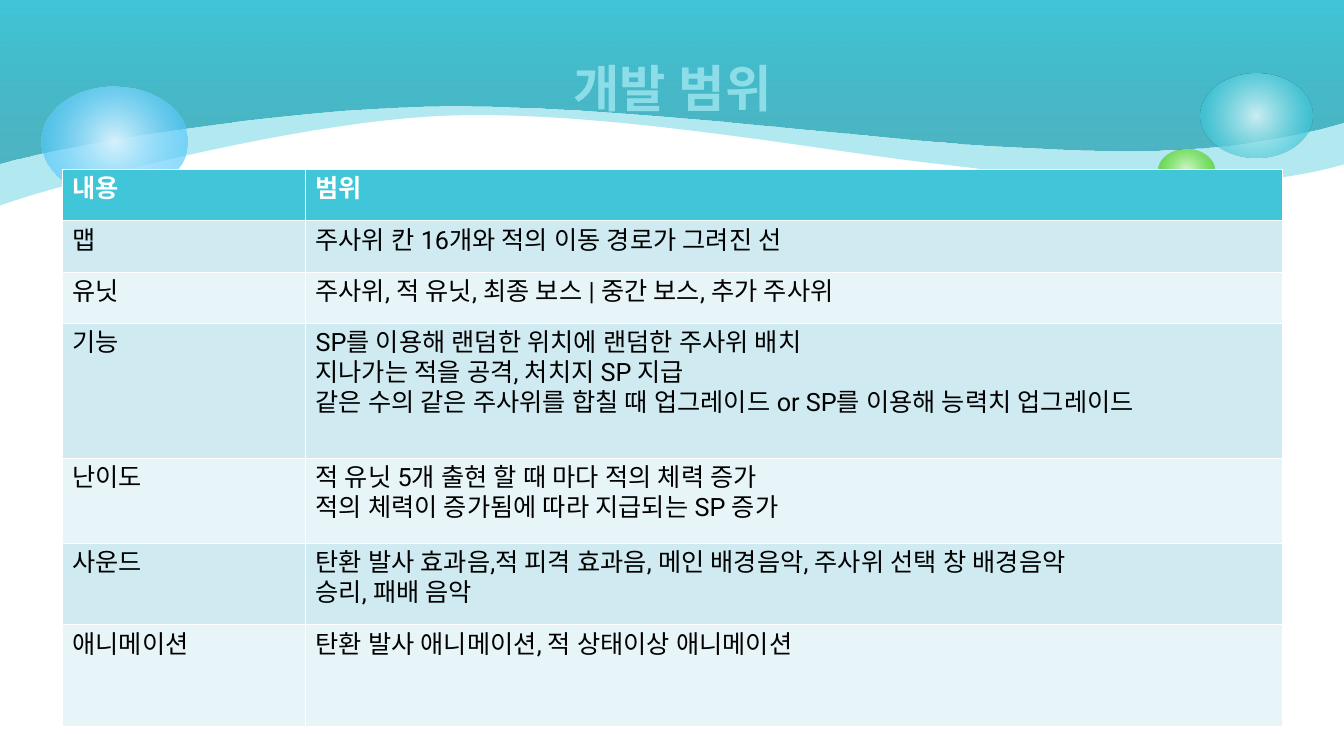
import pptx
import pptx.util
import pptx.dml.color
import pptx.enum.lang
import pptx.enum.shapes
import pptx.enum.text
import pptx.oxml
import pptx.oxml.ns

Inches = pptx.util.Inches
Pt = pptx.util.Pt
qn = pptx.oxml.ns.qn

FONT = "Roboto"
NS = pptx.oxml.ns.nsdecls("a")
COLORS = {
    "white": "FFFFFF", "black": "000000", "teal": "40C6D8", "deep": "249EAE",
    "title": "8CDDE8", "band": "CFEAF0", "pale": "E8F5F8",
    "ice": "D9F4F7", "mint": "DAFACD", "green": "4CD416",
    "mist": "D6F2FE", "blue": "33BDFB",
}
LINEAR_UP = '<a:lin ang="16200000" scaled="0"/>'
RADIAL = ('<a:path path="circle"><a:fillToRect l="50000" t="50000" '
          'r="50000" b="50000"/></a:path>')

BACK_WAVE = [
    (0, 0.54), (0, 1.5), (0, 2.04),
    (0.44, 1.87), (2.85, 1.22), (4.37, 1.15),
    (5.9, 1.08), (8.08, 1.48), (9.16, 1.61),
    (10.24, 1.73), (12.03, 2.01), (13.33, 1.63),
]
FRONT_WAVE = [
    (0, 0.54), (0, 1.08), (0, 1.62),
    (0.6, 1.44), (2.71, 1.08), (4.35, 1.05),
    (5.98, 1.02), (8.78, 1.39), (9.83, 1.44),
    (10.88, 1.49), (12.03, 1.59), (13.33, 1.21),
]
BUBBLES = [
    ((11.91, 0.73, 1.11, 0.83), [(0, "ice", 90), (76, "teal", 70)]),
    ((11.49, 1.48, 0.56, 0.42), [(0, "mint", 90), (76, "green", 70)]),
    ((0.41, 0.86, 1.45, 1.09), [(0, "mist", 100), (100, "blue", 54)]),
]
COLUMN_WIDTHS = [2.41, 9.69]
ROWS = [
    (0.51, "내용", "범위"),
    (0.51, "맵", "주사위 칸 16개와 적의 이동 경로가 그려진 선"),
    (0.51, "유닛", "주사위, 적 유닛, 최종 보스 | 중간 보스, 추가 주사위"),
    (1.34, "기능", "SP를 이용해 랜덤한 위치에 랜덤한 주사위 배치\n"
                 "지나가는 적을 공격, 처치지 SP 지급\n"
                 "같은 수의 같은 주사위를 합칠 때 업그레이드 or SP를 이용해 능력치 업그레이드"),
    (0.84, "난이도", "적 유닛 5개 출현 할 때 마다 적의 체력 증가\n"
                  "적의 체력이 증가됨에 따라 지급되는 SP 증가"),
    (0.81, "사운드", "탄환 발사 효과음,적 피격 효과음, 메인 배경음악, 주사위 선택 창 배경음악\n"
                  "승리, 패배 음악"),
    (1.01, "애니메이션", "탄환 발사 애니메이션, 적 상태이상 애니메이션"),
]


def rgb(name):
    return pptx.dml.color.RGBColor.from_string(COLORS[name])


def clear_style(sp):
    sp.shadow.inherit = False
    sp.line.fill.background()
    sp.fill.background()


def replace_fill(sp, fill_xml):
    clear_style(sp)
    spPr = sp._element.spPr
    spPr.replace(spPr.find(qn("a:noFill")), pptx.oxml.parse_xml(fill_xml))


def color_xml(name, alpha):
    return (f'<a:srgbClr val="{COLORS[name]}">'
            f'<a:alpha val="{alpha * 1000}"/></a:srgbClr>')


def solid_fill(sp, name, alpha):
    replace_fill(sp, f'<a:solidFill {NS}>{color_xml(name, alpha)}</a:solidFill>')


def gradient_fill(sp, stops, direction):
    gs = "".join(f'<a:gs pos="{pos * 1000}">{color_xml(name, alpha)}</a:gs>'
                 for pos, name, alpha in stops)
    replace_fill(sp, f'<a:gradFill {NS} rotWithShape="1">'
                     f'<a:gsLst>{gs}</a:gsLst>{direction}</a:gradFill>')


def add_wave(s, knots):
    builder = s.shapes.build_freeform(0, 0, scale=Inches(0.01))
    outline = knots + [(13.35, 0), (0, 0)]
    builder.add_line_segments([(round(x * 100), round(y * 100)) for x, y in outline])
    sp = builder.convert_to_shape()
    lines = list(sp._element.iter(qn("a:lnTo")))
    for i in range(0, len(knots), 3):
        curve = pptx.oxml.parse_xml(f'<a:cubicBezTo {NS}/>')
        lines[i].addprevious(curve)
        for line in lines[i:i + 3]:
            curve.append(line[0])
            line.getparent().remove(line)
    lines[-1].addnext(pptx.oxml.parse_xml(f'<a:close {NS}/>'))
    return sp


def add_bubble(s, box, stops):
    sp = s.shapes.add_shape(pptx.enum.shapes.MSO_SHAPE.OVAL, *map(Inches, box))
    gradient_fill(sp, stops, RADIAL)


def format_text(tf, size, color, bold):
    for p in tf.paragraphs:
        for r in p.runs:
            r.font.name = FONT
            r.font.size = Pt(size)
            r.font.bold = bold
            r.font.color.rgb = rgb(color)
            r.font.language_id = pptx.enum.lang.MSO_LANGUAGE_ID.KOREAN
            latin = r.font._element.find(qn("a:latin"))
            latin.addnext(pptx.oxml.parse_xml(f'<a:ea {NS} typeface="{FONT}"/>'))


def add_scope_table(s):
    height = sum(row[0] for row in ROWS)
    frame = s.shapes.add_table(len(ROWS), len(COLUMN_WIDTHS), Inches(0.62), Inches(1.68),
                               Inches(sum(COLUMN_WIDTHS)), Inches(height))
    table = frame.table
    for column, width in zip(table.columns, COLUMN_WIDTHS):
        column.width = Inches(width)
    for i, (row_height, *texts) in enumerate(ROWS):
        table.rows[i].height = Inches(row_height)
        header = i == 0
        fill = "teal" if header else ("pale", "band")[i % 2]
        for cell, text in zip(table.rows[i].cells, texts):
            cell.text_frame.text = text
            format_text(cell.text_frame, 18, "white" if header else "black", header)
            cell.fill.solid()
            cell.fill.fore_color.rgb = rgb(fill)


def add_title(s, text):
    title = s.shapes.title
    title.left, title.top, title.width, title.height = map(Inches, (0.92, 0.14, 11.5, 1.45))
    tf = title.text_frame
    tf.text = text
    tf.vertical_anchor = pptx.enum.text.MSO_ANCHOR.MIDDLE
    tf.paragraphs[0].alignment = pptx.enum.text.PP_ALIGN.CENTER
    format_text(tf, 36, "title", True)
    s.shapes._spTree.append(title._element)


def main():
    prs = pptx.Presentation()
    prs.slide_width, prs.slide_height = Inches(13.33), Inches(7.5)
    s = prs.slides.add_slide(prs.slide_layouts[5])
    solid_fill(add_wave(s, BACK_WAVE), "teal", 40)
    gradient_fill(add_wave(s, FRONT_WAVE), [(0, "deep", 69), (100, "teal", 100)], LINEAR_UP)
    for box, stops in BUBBLES:
        add_bubble(s, box, stops)
    add_scope_table(s)
    add_title(s, "개발 범위")
    prs.save("out.pptx")


if __name__ == "__main__":
    main()
